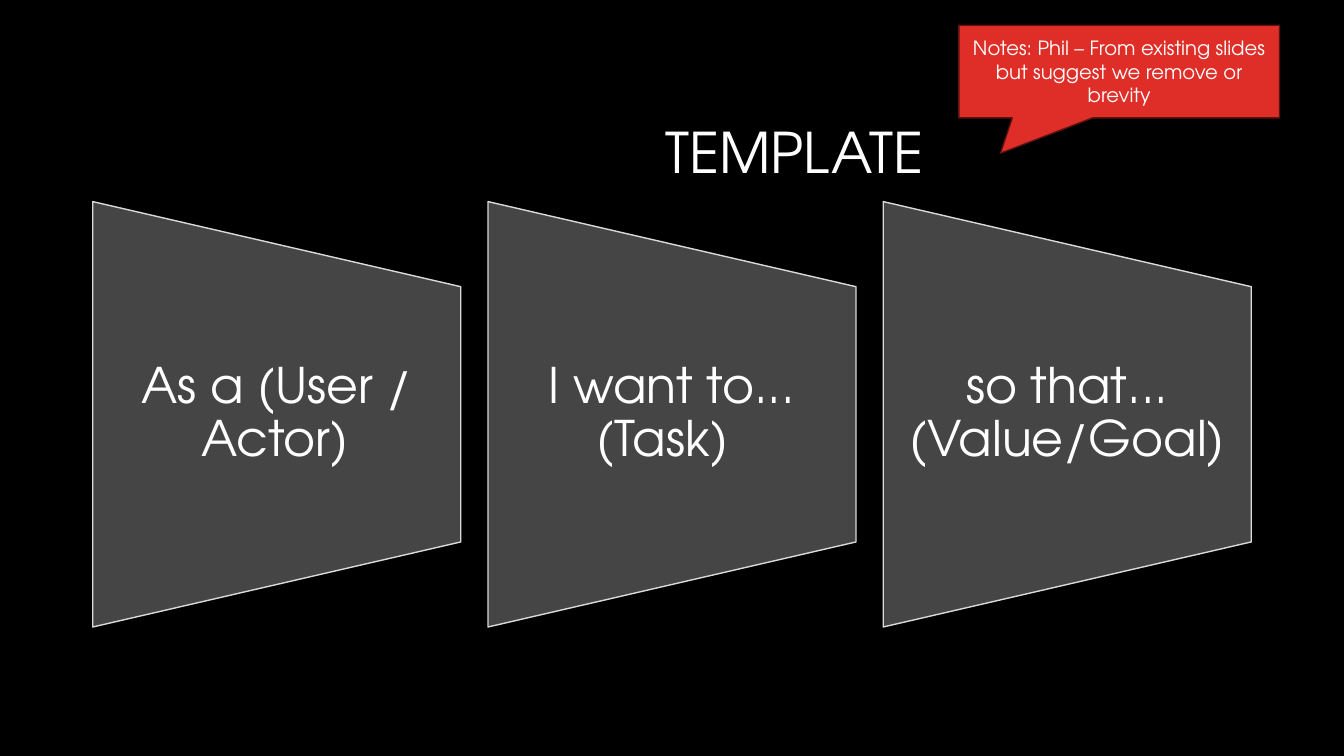
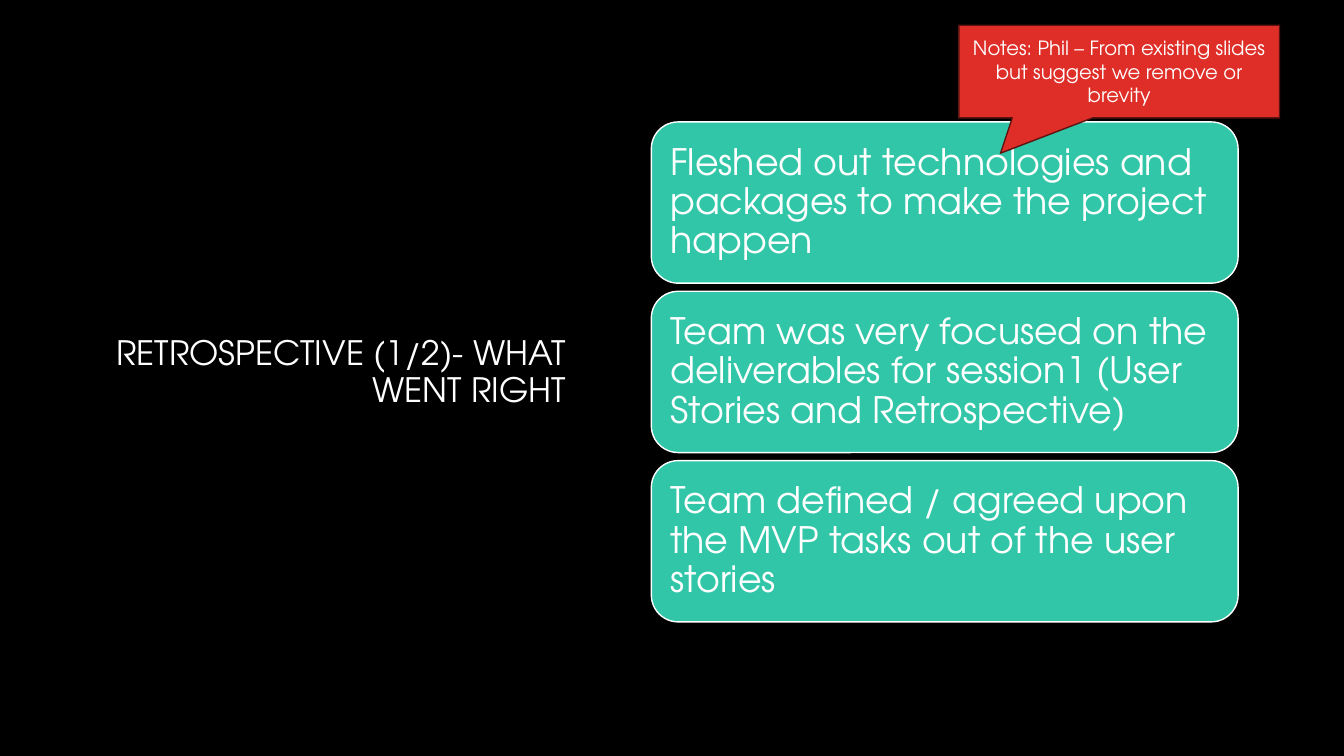
from dataclasses import dataclass

import pptx
import pptx.dml.color
import pptx.enum.shapes
import pptx.enum.text
import pptx.util
from pptx.util import Inches

FONT = "TeX Gyre Adventor"
BLACK, WHITE = "000000", "FFFFFF"
CHARCOAL, SILVER = "454545", "DADADA"
TEAL = "30C6A7"
RED, DARK_RED = "DF2E28", "5E1310"

Shapes = pptx.enum.shapes.MSO_SHAPE
Align = pptx.enum.text.PP_ALIGN

NOTE = "Notes: Phil – From existing slides but suggest we remove or brevity"
STORY_PARTS = ["As a (User / Actor)\t", "I want to... (Task)\t", "so that... (Value/Goal)"]
SUCCESSES = [
    "Fleshed out technologies and packages to make the project happen",
    "Team was very focused on the deliverables for session1 (User Stories and Retrospective)",
    "Team defined / agreed upon the MVP tasks out of the user stories",
]


@dataclass(frozen=True)
class Area:
    """A rectangle on the slide, in inches."""
    left: float
    top: float
    width: float
    height: float

    def lengths(self) -> list:
        return [Inches(side) for side in (self.left, self.top, self.width, self.height)]

    def quarter_turned(self) -> "Area":
        """The area that covers this one after a turn by 90 degrees."""
        shift = (self.width - self.height) / 2
        return Area(self.left + shift, self.top - shift, self.height, self.width)


@dataclass(frozen=True)
class TextStyle:
    size: int
    align: Align
    inset_x: float = 0.1
    inset_y: float = 0.05
    line_spacing: float = 0.9


NOTE_STYLE = TextStyle(14, Align.CENTER, line_spacing=1.0)
PANEL_STYLE = TextStyle(35, Align.CENTER, 0.24, 0)
CARD_STYLE = TextStyle(26, Align.LEFT, 0.11, 0.11)


def color(value: str) -> pptx.dml.color.RGBColor:
    return pptx.dml.color.RGBColor.from_string(value)


def write(shape, text: str, style: TextStyle) -> None:
    frame = shape.text_frame
    frame.word_wrap = True
    frame.vertical_anchor = pptx.enum.text.MSO_ANCHOR.MIDDLE
    frame.margin_left = frame.margin_right = Inches(style.inset_x)
    frame.margin_top = frame.margin_bottom = Inches(style.inset_y)
    frame.text = text
    para = frame.paragraphs[0]
    para.alignment = style.align
    para.line_spacing = style.line_spacing
    for span in para.runs:
        span.font.name = FONT
        span.font.size = pptx.util.Pt(style.size)
        span.font.color.rgb = color(WHITE)


def add_text(page, area: Area, text: str, style: TextStyle) -> None:
    write(page.shapes.add_textbox(*area.lengths()), text, style)


def add_filled(page, kind: Shapes, area: Area, fill: str, line: str):
    shape = page.shapes.add_shape(kind, *area.lengths())
    shape.shadow.inherit = False
    shape.fill.solid()
    shape.fill.fore_color.rgb = color(fill)
    shape.line.color.rgb = color(line)
    shape.line.width = pptx.util.Pt(1)
    return shape


def add_note(page) -> None:
    callout = add_filled(page, Shapes.RECTANGULAR_CALLOUT,
                         Area(9.51, 0.25, 3.18, 0.92), RED, DARK_RED)
    callout.adjustments[0] = -0.37
    callout.adjustments[1] = 0.88
    write(callout, NOTE, NOTE_STYLE)


def add_panel(page, area: Area, text: str) -> None:
    """A trapezoid narrowing to the right, with upright text over it."""
    outline = area.quarter_turned()
    trapezoid = add_filled(page, Shapes.FLOWCHART_MANUAL_OPERATION, outline, CHARCOAL, SILVER)
    trapezoid.rotation = 270
    middle = Area(area.left, area.top + area.height / 5, area.width, area.height * 3 / 5)
    add_text(page, middle, text, PANEL_STYLE)


def add_card(page, area: Area, text: str) -> None:
    card = add_filled(page, Shapes.ROUNDED_RECTANGLE, area, TEAL, WHITE)
    write(card, text, CARD_STYLE)


def add_page(deck):
    return deck.slides.add_slide(deck.slide_layouts[6])


def build_template(deck) -> None:
    page = add_page(deck)
    add_text(page, Area(3.17, 0.84, 9.42, 1.41), "TEMPLATE", TextStyle(40, Align.CENTER))
    width, gap = 3.65, 0.27
    for index, text in enumerate(STORY_PARTS):
        add_panel(page, Area(0.92 + index * (width + gap), 2, width, 4.22), text)
    add_note(page)


def build_retrospective(deck) -> None:
    page = add_page(deck)
    add_text(page, Area(0.92, 0.96, 4.79, 5.48), "RETROSPECTIVE (1/2)- WHAT WENT RIGHT",
             TextStyle(24, Align.RIGHT))
    height, gap = 1.6, 0.08
    for index, text in enumerate(SUCCESSES):
        add_card(page, Area(6.46, 1.21 + index * (height + gap), 5.82, height), text)
    add_note(page)


def main() -> None:
    deck = pptx.Presentation()
    deck.slide_width, deck.slide_height = Inches(13.33), Inches(7.5)
    background = deck.slide_master.background.fill
    background.solid()
    background.fore_color.rgb = color(BLACK)
    build_template(deck)
    build_retrospective(deck)
    deck.save("out.pptx")


if __name__ == "__main__":
    main()
